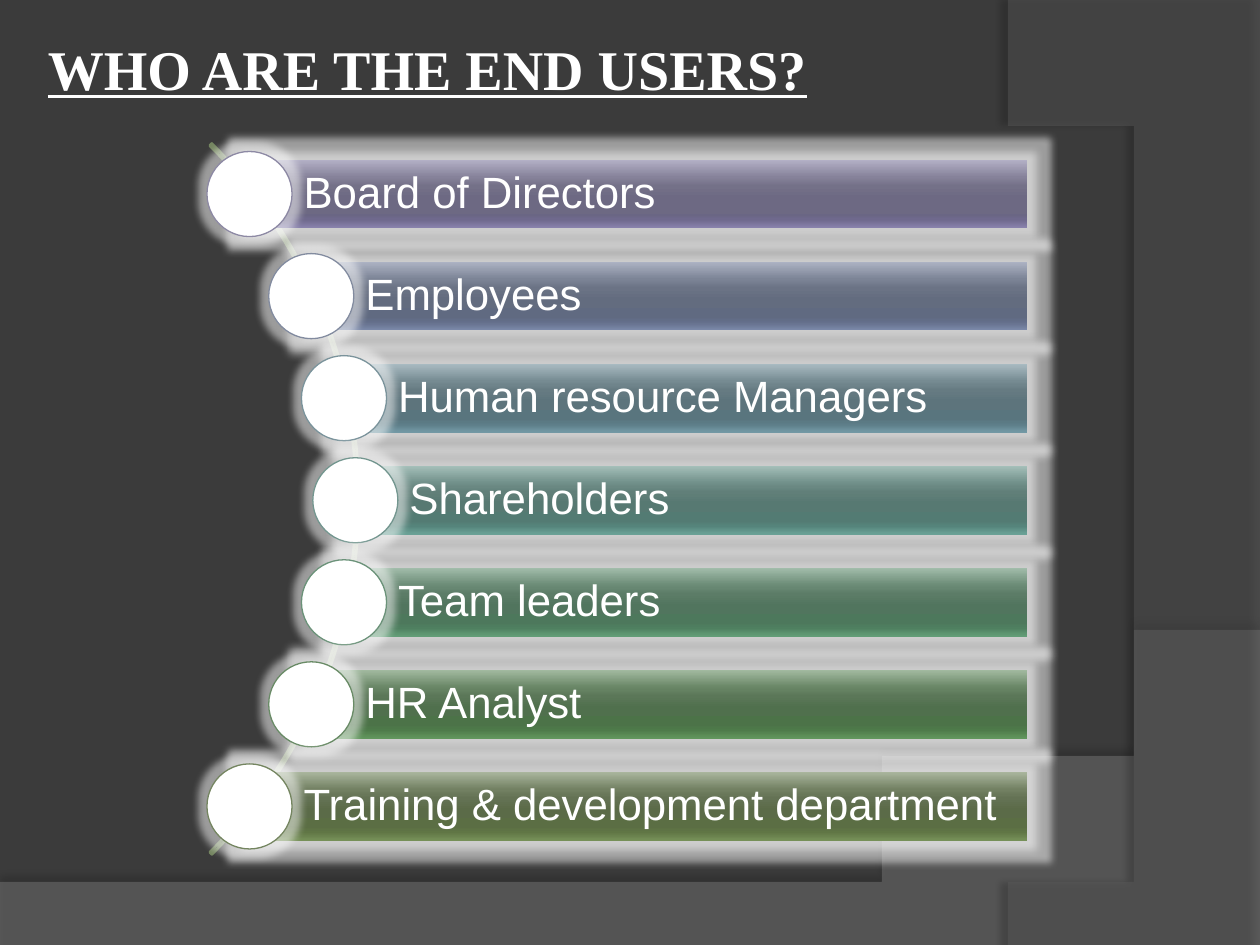
from lxml import etree
from pptx import Presentation
from pptx.dml.color import RGBColor
from pptx.enum.shapes import MSO_SHAPE as Shape
from pptx.enum.text import MSO_ANCHOR as Anchor, PP_ALIGN as Align
from pptx.oxml import parse_xml
from pptx.oxml.ns import nsdecls, qn
from pptx.util import Inches, Pt

WHITE = RGBColor(0xFF, 0xFF, 0xFF)
BACKDROP = RGBColor(0x3B, 0x3B, 0x3B)
HILL = RGBColor(0x7F, 0x7F, 0x7F)
SIDE = RGBColor(0x5E, 0x5E, 0x5E)
ARC = RGBColor(0x74, 0x85, 0x60)

STOPS = (0, 25, 38, 55, 80, 88, 100)
USERS = (
    ("Board of Directors", 1.98, "8D89A4", "B3B0C6 86829A 747188 6D6983 6A6684 6F698D 8982AC"),
    ("Employees", 2.47, "828B9F", "ACB2C3 7C8496 6B7385 636C7F 606A81 636E8A 7A88A8"),
    ("Human resource Managers", 2.73, "7A939B", "A8BAC1 768B92 667B82 5D747C 59757E 5C7C87 7298A4"),
    ("Shareholders", 2.82, "73968F", "A4BFB9 708F89 617F79 577972 537B73 55847B 6AA196"),
    ("Team leaders", 2.73, "6B9279", "A1BCAA 6B8B76 5C7C67 51755E 4D785C 4F8060 629D77"),
    ("HR Analyst", 2.47, "698B66", "A1B99F 698666 5B7758 50704D 4C7348 4E7B4A 62965D"),
    ("Training & development department", 1.98, "748560", "A9B59D 728062 647254 5B6B48 5B6E44 607645 769058"),
)


def add_effect(shape, xml):
    """Give the shape one effect in place of the theme's shadow."""
    shape.shadow.inherit = False
    effects = shape._element.spPr.find(qn("a:effectLst"))
    effects.append(parse_xml(xml))


def add_glow(shape):
    """Surround the shape with a soft white glow."""
    add_effect(shape, f'<a:glow {nsdecls("a")} rad="{Pt(9)}"><a:srgbClr val="FFFFFF">'
                      '<a:alpha val="50000"/></a:srgbClr></a:glow>')


def fill_gradient(shape, colours):
    """Fill the shape from top to bottom with the bar's colour stops."""
    shape.fill.gradient()
    shape.fill.gradient_angle = 270
    stops = shape._element.spPr.find(qn("a:gradFill")).find(qn("a:gsLst"))
    for old in list(stops):
        stops.remove(old)
    for position, colour in zip(STOPS, colours.split()):
        stop = etree.SubElement(stops, qn("a:gs"), pos=str(position * 1000))
        etree.SubElement(stop, qn("a:srgbClr"), val=colour)


def curve(start, first, second, end, steps=40):
    """Return points along a cubic curve."""
    return [tuple((1 - t) ** 3 * a + 3 * (1 - t) ** 2 * t * b + 3 * (1 - t) * t * t * c + t ** 3 * d
                  for a, b, c, d in zip(start, first, second, end))
            for t in (step / steps for step in range(steps + 1))]


def add_wave(slide, points, colour, opacity, shadow):
    """Draw one translucent background wave with its shadow."""
    builder = slide.shapes.build_freeform(*points[0], scale=Inches(1))
    builder.add_line_segments(points[1:], close=True)
    wave = builder.convert_to_shape()
    wave.fill.solid()
    wave.fill.fore_color.rgb = colour
    fill_colour = wave._element.spPr.find(qn("a:solidFill"))[0]
    etree.SubElement(fill_colour, qn("a:alpha"), val=str(opacity * 1000))
    wave.line.fill.background()
    alpha, distance, angle = shadow
    add_effect(wave, f'<a:outerShdw {nsdecls("a")} blurRad="{Pt(4)}" dist="{Pt(distance)}" '
                     f'dir="{angle * 60000}" algn="ctr" rotWithShape="0"><a:srgbClr val="000000">'
                     f'<a:alpha val="{alpha * 1000}"/></a:srgbClr></a:outerShdw>')


def add_background(slide, width, height):
    """Paint the backdrop and its two waves."""
    slide.background.fill.solid()
    slide.background.fill.fore_color.rgb = BACKDROP
    hill = [(0, height), (width, height)] + curve((width, 5.2), (5.59, 7.29), (3.91, 7.19), (0, 7.05))
    side = [(width, 0.02), (width, height)] + curve((8.21, height), (9.35, 6.19), (10.18, 3), (8, 0))
    add_wave(slide, hill, HILL, 45, (35, 3.5, 270))
    add_wave(slide, side, SIDE, 40, (45, 4, 180))


def write_line(frame, text, font_name, size):
    """Write one white, left-aligned line and return its font."""
    frame.text = text
    frame.vertical_anchor = Anchor.MIDDLE
    paragraph = frame.paragraphs[0]
    paragraph.alignment = Align.LEFT
    font = paragraph.runs[0].font
    font.name, font.size, font.color.rgb = font_name, Pt(size), WHITE
    return font


def add_title(slide, left, top, width, height):
    """Place the underlined heading."""
    title = slide.shapes.add_textbox(Inches(left), Inches(top), Inches(width), Inches(height))
    frame = title.text_frame
    frame.word_wrap = True
    frame.margin_left = frame.margin_right = frame.margin_bottom = 0
    frame.margin_top = Inches(0.02)
    font = write_line(frame, "WHO ARE THE END USERS?", "Times New Roman", 32)
    font.bold = font.underline = True


def add_arc(slide, left, top, size):
    """Draw the thin arc that the circles sit on."""
    arc = slide.shapes.add_shape(Shape.BLOCK_ARC, Inches(left), Inches(top), Inches(size), Inches(size))
    for index, value in enumerate((189, 27, 0.003)):
        arc.adjustments[index] = value
    arc.fill.background()
    arc.line.color.rgb = ARC
    arc.line.width = Pt(1.5)
    arc.shadow.inherit = False


def add_user(slide, left, top, width, height, user, outline, colours):
    """Place one user group's bar and the circle at its left end."""
    bar = slide.shapes.add_shape(Shape.RECTANGLE, Inches(left), Inches(top), Inches(width), Inches(height))
    fill_gradient(bar, colours)
    bar.line.fill.background()
    add_glow(bar)
    frame = bar.text_frame
    frame.word_wrap = True
    frame.margin_left = Inches(0.43)
    frame.margin_right = frame.margin_top = frame.margin_bottom = Inches(0.07)
    write_line(frame, user, "Arial", 25)
    frame.paragraphs[0].line_spacing = 0.9

    size = height * 1.25
    circle = slide.shapes.add_shape(Shape.OVAL, Inches(left - size / 2), Inches(top + height / 2 - size / 2),
                                    Inches(size), Inches(size))
    circle.fill.solid()
    circle.fill.fore_color.rgb = WHITE
    circle.line.color.rgb = RGBColor.from_string(outline)
    circle.line.width = Pt(0.75)
    add_glow(circle)


def add_user_list(slide, top, right, pitch, bar_height):
    """Stack the user groups along the arc, all ending at the right edge."""
    add_arc(slide, -5.13, -0.03, 7.98)
    for row, (user, left, outline, colours) in enumerate(USERS):
        add_user(slide, left, top + row * pitch, right - left, bar_height, user, outline, colours)


def main():
    """Build and save the slide."""
    deck = Presentation()
    deck.slide_width, deck.slide_height = Inches(10), Inches(7.5)
    slide = deck.slides.add_slide(deck.slide_layouts[6])
    add_background(slide, 10, 7.5)
    add_title(slide, 0.38, 0.25, 6.44, 0.56)
    add_user_list(slide, top=1.27, right=8.15, pitch=0.81, bar_height=0.54)
    deck.save("out.pptx")


if __name__ == "__main__":
    main()
